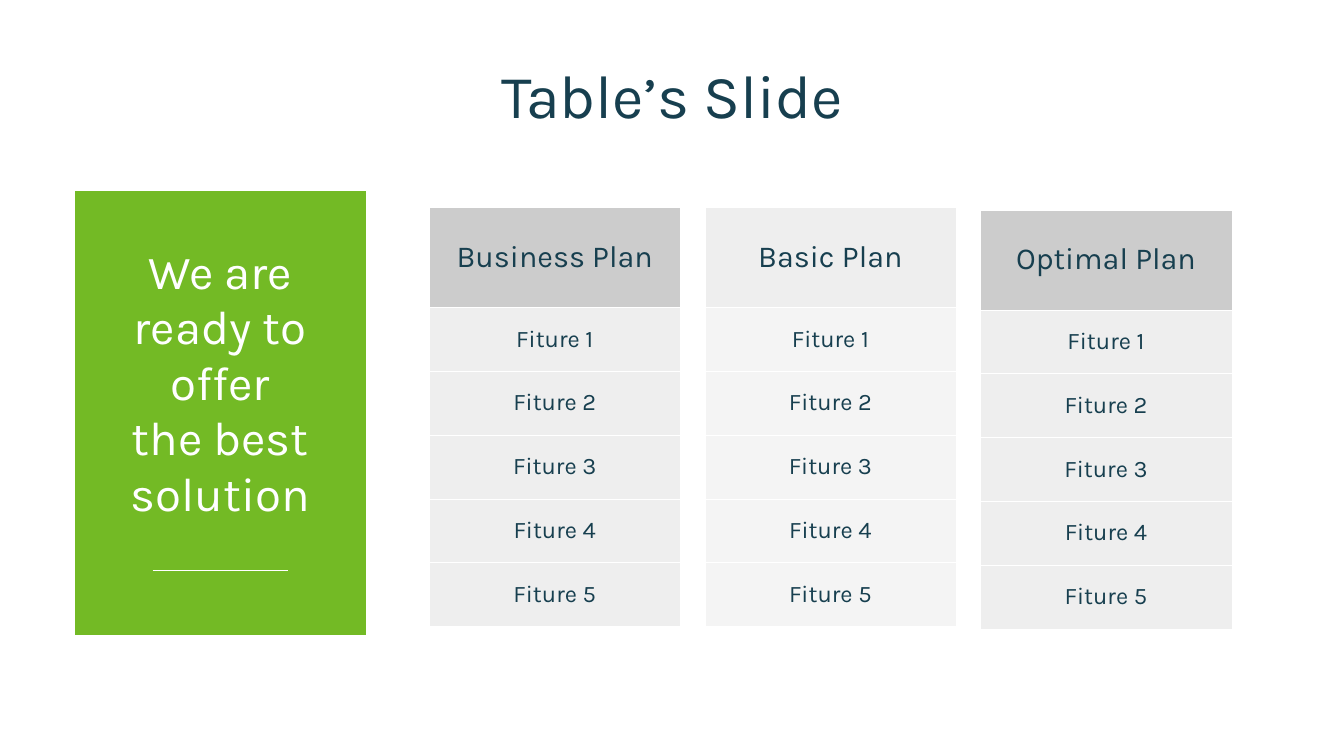
from lxml import etree
from pptx import Presentation
from pptx.dml.color import RGBColor
from pptx.enum.shapes import MSO_CONNECTOR
from pptx.enum.text import MSO_ANCHOR, PP_ALIGN
from pptx.oxml.ns import qn
from pptx.util import Cm, Pt

CENTER = PP_ALIGN.CENTER
MIDDLE = MSO_ANCHOR.MIDDLE
STRAIGHT = MSO_CONNECTOR.STRAIGHT
FONT = "Karla"
NAVY, WHITE, GREEN = "173F4F", "FFFFFF", "73BA25"
MID_GRAY, LIGHT_GRAY, PALE_GRAY = "CCCCCC", "EEEEEE", "F4F4F4"
BORDER_WIDTH = Pt(0.06)

FEATURES = [f"Fiture {number}" for number in range(1, 6)]
# Plan name, top in cm, header fill, feature fill
PLANS = [
    ("Business Plan", 4.32, MID_GRAY, LIGHT_GRAY),
    ("Basic Plan", 4.32, LIGHT_GRAY, PALE_GRAY),
    ("Optimal Plan", 4.37, MID_GRAY, LIGHT_GRAY),
]
PLAN_LEFT, PLAN_STEP, PLAN_WIDTH = 8.94, 5.74, 5.23
HEADER_HEIGHT, FEATURE_HEIGHT = 2.08, 1.33


def rgb(color):
    return RGBColor.from_string(color)


def write(frame, text, size=14, color=NAVY):
    """Fill a text frame with centred text, one paragraph per line."""
    frame.text = text
    frame.word_wrap = True
    for paragraph in frame.paragraphs:
        paragraph.alignment = CENTER
        paragraph.font.name = FONT
        paragraph.font.size = Pt(size)
        paragraph.font.color.rgb = rgb(color)


def add_borders(cell, color=WHITE):
    properties = cell._tc.get_or_add_tcPr()
    for position, side in enumerate(("a:lnL", "a:lnR", "a:lnT", "a:lnB")):
        line = etree.Element(qn(side), w=str(int(BORDER_WIDTH)))
        fill = etree.SubElement(line, qn("a:solidFill"))
        etree.SubElement(fill, qn("a:srgbClr"), val=color)
        properties.insert(position, line)


def style_cell(cell, text, fill, **text_format):
    cell.fill.solid()
    cell.fill.fore_color.rgb = rgb(fill)
    cell.vertical_anchor = MIDDLE
    write(cell.text_frame, text, **text_format)
    add_borders(cell)


def add_column(slide, left, top, width, heights):
    """Add a one-column table and return its cells."""
    table = slide.shapes.add_table(
        len(heights), 1, Cm(left), Cm(top), Cm(width), Cm(sum(heights))).table
    table.first_row = table.horz_banding = False
    for row, height in zip(table.rows, heights):
        row.height = Cm(height)
    return [table.cell(index, 0) for index in range(len(heights))]


def add_title(slide, text):
    title = slide.shapes.add_textbox(Cm(1.4), Cm(0.64), Cm(25.2), Cm(2.64))
    frame = title.text_frame
    frame.margin_left = frame.margin_right = 0
    frame.margin_top = frame.margin_bottom = 0
    frame.vertical_anchor = MIDDLE
    write(frame, text, size=36)


def add_offer(slide, text):
    offer, = add_column(slide, 1.55, 3.96, 6.07, [9.27])
    style_cell(offer, text, GREEN, size=28, color=WHITE)
    offer.margin_bottom = Cm(1.29)  # room for the rule below the text
    rule = slide.shapes.add_connector(
        STRAIGHT, Cm(3.18), Cm(11.88), Cm(6), Cm(11.88))
    rule.line.color.rgb = rgb(WHITE)
    rule.line.width = Pt(0.75)
    etree.SubElement(rule._element.spPr, qn("a:effectLst"))


def add_plan(slide, left, name, top, header_fill, feature_fill):
    heights = [HEADER_HEIGHT] + [FEATURE_HEIGHT] * len(FEATURES)
    header, *rows = add_column(slide, left, top, PLAN_WIDTH, heights)
    style_cell(header, name, header_fill, size=18)
    for cell, feature in zip(rows, FEATURES):
        style_cell(cell, feature, feature_fill)


def main():
    prs = Presentation()
    prs.slide_width, prs.slide_height = Cm(27.99), Cm(15.75)
    slide = prs.slides.add_slide(prs.slide_layouts[6])

    # Title and green offer panel
    add_title(slide, "Table’s Slide")
    add_offer(slide, "We are ready to offer\nthe best solution")

    # Plan tables
    for index, plan in enumerate(PLANS):
        add_plan(slide, PLAN_LEFT + index * PLAN_STEP, *plan)

    prs.save("out.pptx")


if __name__ == "__main__":
    main()
